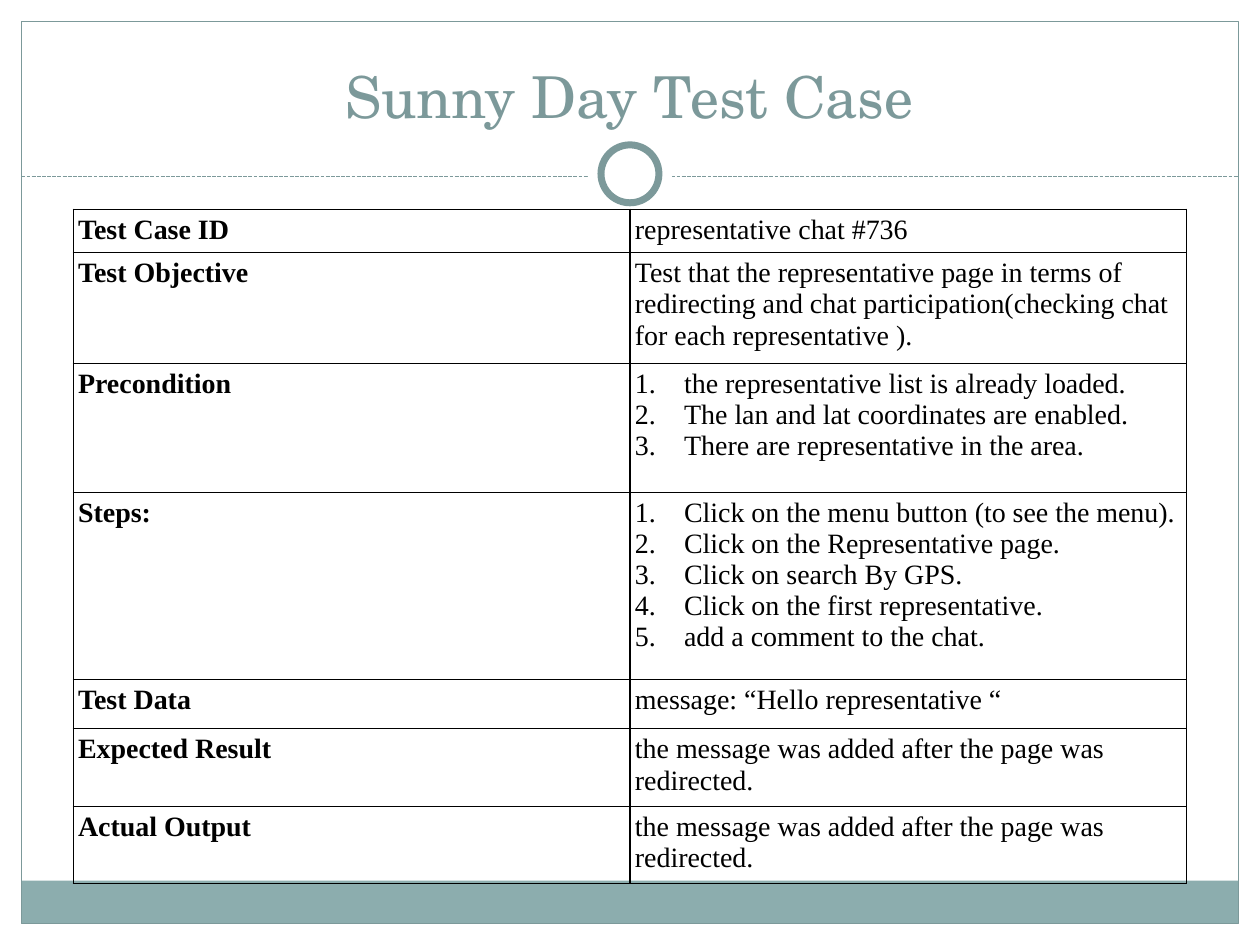
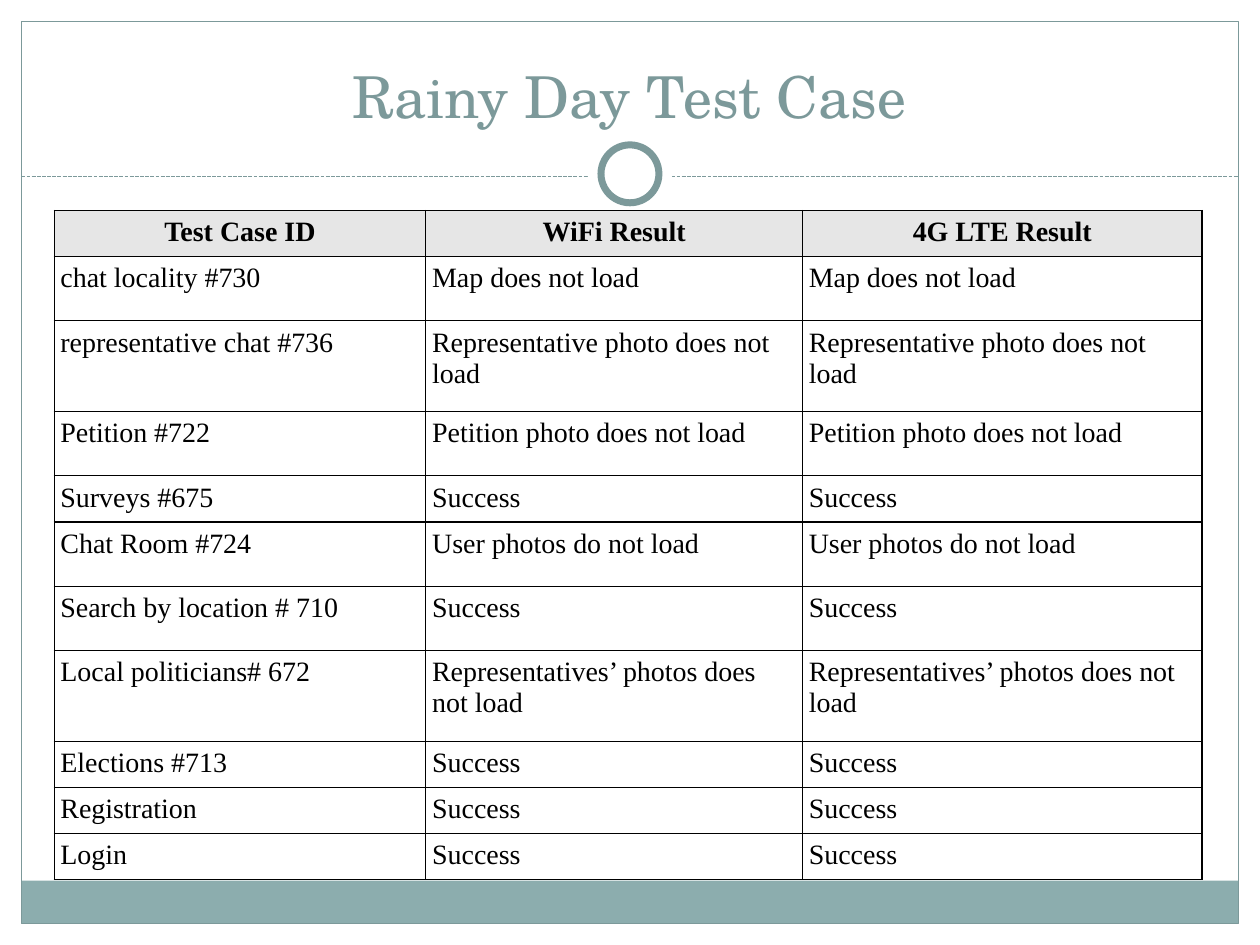
from lxml import etree
from pptx import Presentation
from pptx.dml.color import RGBColor
from pptx.enum.dml import MSO_LINE
from pptx.enum.shapes import MSO_CONNECTOR, MSO_SHAPE
from pptx.enum.text import MSO_ANCHOR, PP_ALIGN
from pptx.oxml import parse_xml
from pptx.oxml.ns import nsdecls, qn
from pptx.util import Inches, Pt

RECTANGLE, OVAL = MSO_SHAPE.RECTANGLE, MSO_SHAPE.OVAL
CENTER, LEFT = PP_ALIGN.CENTER, PP_ALIGN.LEFT

COLORS = {
    "accent": "7C999A",
    "band": "8CADAE",
    "white": "FFFFFF",
    "header": "E6E6E6",
    "text": "000000",
}
TITLE_FONT, TABLE_FONT = "TeX Gyre Schola", "Times New Roman"
SLIDE_WIDTH, SLIDE_HEIGHT = 10, 7.5
MARGIN = 0.17
RULE_TOP = 1.4
RING_CENTER = (5, 1.38)
LIST_INDENT = 0.39

# A list in a cell becomes a numbered list.
SUNNY_ROWS = [
    ("Test Case ID", "representative chat #736"),
    ("Test Objective", "Test that the representative page in terms of redirecting and "
                       "chat participation(checking chat for each representative )."),
    ("Precondition", ["the representative list is already loaded.",
                      "The lan and lat coordinates are enabled.",
                      "There are representative in the area."]),
    ("Steps:", ["Click on the menu button (to see the menu).",
                "Click on the Representative page.",
                "Click on search By GPS.",
                "Click on the first representative.",
                "add a comment to the chat."]),
    ("Test Data", "message: “Hello representative “"),
    ("Expected Result", "the message was added after the page was redirected."),
    ("Actual Output", "the message was added after the page was redirected."),
]

# Each test gave the same result on both networks.
RAINY_RESULTS = [
    ("chat locality #730", "Map does not load"),
    ("representative chat #736", "Representative photo does not load"),
    ("Petition #722", "Petition photo does not load"),
    ("Surveys #675", "Success"),
    ("Chat Room #724", "User photos do not load"),
    ("Search by location # 710", "Success"),
    ("Local politicians# 672", "Representatives’ photos does not load"),
    ("Elections #713", "Success"),
    ("Registration", "Success"),
    ("Login", "Success"),
]
RAINY_ROWS = [("Test Case ID", "WiFi Result", "4G LTE Result")] + [
    (test, result, result) for test, result in RAINY_RESULTS
]

SLIDES = [
    {
        "title": "Sunny Day Test Case",
        "rows": SUNNY_ROWS,
        "position": (0.58, 1.66),
        "widths": [4.42, 4.42],
        "heights": [0.33, 0.86, 1.02, 1.49, 0.39, 0.57, 0.57],
        "inset": 0.04,
        "header_row": False,
    },
    {
        "title": "Rainy Day Test Case",
        "rows": RAINY_ROWS,
        "position": (0.43, 1.67),
        "widths": [2.95, 2.99, 3.17],
        "heights": [0.35, 0.51, 0.72, 0.51, 0.35, 0.51, 0.51, 0.72, 0.35, 0.35, 0.35],
        "inset": 0.05,
        "header_row": True,
    },
]


def color(name):
    return RGBColor.from_string(COLORS[name])


def add_shape(slide, kind, box, fill=None, line_width=None):
    shape = slide.shapes.add_shape(kind, *map(Inches, box))
    shape.shadow.inherit = False
    if fill:
        shape.fill.solid()
        shape.fill.fore_color.rgb = color(fill)
    else:
        shape.fill.background()
    if line_width:
        shape.line.color.rgb = color("accent")
        shape.line.width = Pt(line_width)
    else:
        shape.line.fill.background()


def add_circle(slide, diameter, line_width=None):
    left, top = (center - diameter / 2 for center in RING_CENTER)
    add_shape(slide, OVAL, (left, top, diameter, diameter), "white", line_width)


def add_frame(slide):
    """Draw the bottom band, the border, and the dashed rule with its ring."""
    inner_width = SLIDE_WIDTH - 2 * MARGIN
    inner_height = SLIDE_HEIGHT - 2 * MARGIN
    add_shape(slide, RECTANGLE, (MARGIN, 6.99, inner_width, 0.34), "band")
    add_shape(slide, RECTANGLE, (MARGIN, MARGIN, inner_width, inner_height), line_width=0.75)

    rule = slide.shapes.add_connector(
        MSO_CONNECTOR.STRAIGHT, Inches(MARGIN), Inches(RULE_TOP),
        Inches(SLIDE_WIDTH - MARGIN), Inches(RULE_TOP))
    rule.line.color.rgb = color("accent")
    rule.line.width = Pt(0.75)
    rule.line.dash_style = MSO_LINE.SQUARE_DOT
    etree.SubElement(rule._element.spPr, qn("a:effectLst"))

    add_circle(slide, 0.67)
    add_circle(slide, 0.46, line_width=4)


def add_title(slide, text):
    box = slide.shapes.add_textbox(Inches(0.33), Inches(0.25), Inches(9.33), Inches(0.83))
    frame = box.text_frame
    frame.word_wrap = True
    frame.vertical_anchor = MSO_ANCHOR.BOTTOM
    frame.text = text
    paragraph = frame.paragraphs[0]
    paragraph.alignment = CENTER
    paragraph.font.name = TITLE_FONT
    paragraph.font.size = Pt(33)
    paragraph.font.color.rgb = color("accent")


def add_borders(cell):
    properties = cell._tc.get_or_add_tcPr()
    for side in ("lnL", "lnR", "lnT", "lnB"):
        properties.append(parse_xml(
            f'<a:{side} {nsdecls("a")} w="{Pt(0.75)}"><a:solidFill>'
            f'<a:srgbClr val="{COLORS["text"]}"/></a:solidFill></a:{side}>'))


def number_paragraph(paragraph):
    properties = paragraph._p.get_or_add_pPr()
    properties.set("marL", str(Inches(LIST_INDENT)))
    properties.set("indent", str(-Inches(LIST_INDENT)))
    bullet = etree.SubElement(properties, qn("a:buAutoNum"))
    bullet.set("type", "arabicPeriod")


def fill_cell(cell, content, inset, is_header, bold):
    cell.margin_left = cell.margin_right = Inches(inset)
    cell.margin_top = cell.margin_bottom = Inches(inset)
    add_borders(cell)
    if is_header:
        cell.fill.solid()
        cell.fill.fore_color.rgb = color("header")
    else:
        cell.fill.background()

    numbered = isinstance(content, list)
    cell.text = "\n".join(content) if numbered else content
    for paragraph in cell.text_frame.paragraphs:
        paragraph.alignment = CENTER if is_header else LEFT
        if numbered:
            number_paragraph(paragraph)
        paragraph.font.name = TABLE_FONT
        paragraph.font.size = Pt(16)
        paragraph.font.bold = bold
        paragraph.font.color.rgb = color("text")


def add_table(slide, content):
    rows, widths, heights = content["rows"], content["widths"], content["heights"]
    left, top = content["position"]
    table = slide.shapes.add_table(
        len(rows), len(widths), Inches(left), Inches(top),
        Inches(sum(widths)), Inches(sum(heights))).table
    table.first_row = table.horz_banding = False
    for column, width in zip(table.columns, widths):
        column.width = Inches(width)
    for row, height in zip(table.rows, heights):
        row.height = Inches(height)
    for row_index, row in enumerate(rows):
        for column_index, value in enumerate(row):
            is_header = content["header_row"] and row_index == 0
            is_label = not content["header_row"] and column_index == 0
            fill_cell(table.cell(row_index, column_index), value, content["inset"],
                      is_header, bold=is_header or is_label)


def main():
    presentation = Presentation()
    presentation.slide_width = Inches(SLIDE_WIDTH)
    presentation.slide_height = Inches(SLIDE_HEIGHT)
    blank_layout = presentation.slide_layouts[6]
    for content in SLIDES:
        slide = presentation.slides.add_slide(blank_layout)
        add_frame(slide)
        add_title(slide, content["title"])
        add_table(slide, content)
    presentation.save("out.pptx")


if __name__ == "__main__":
    main()
